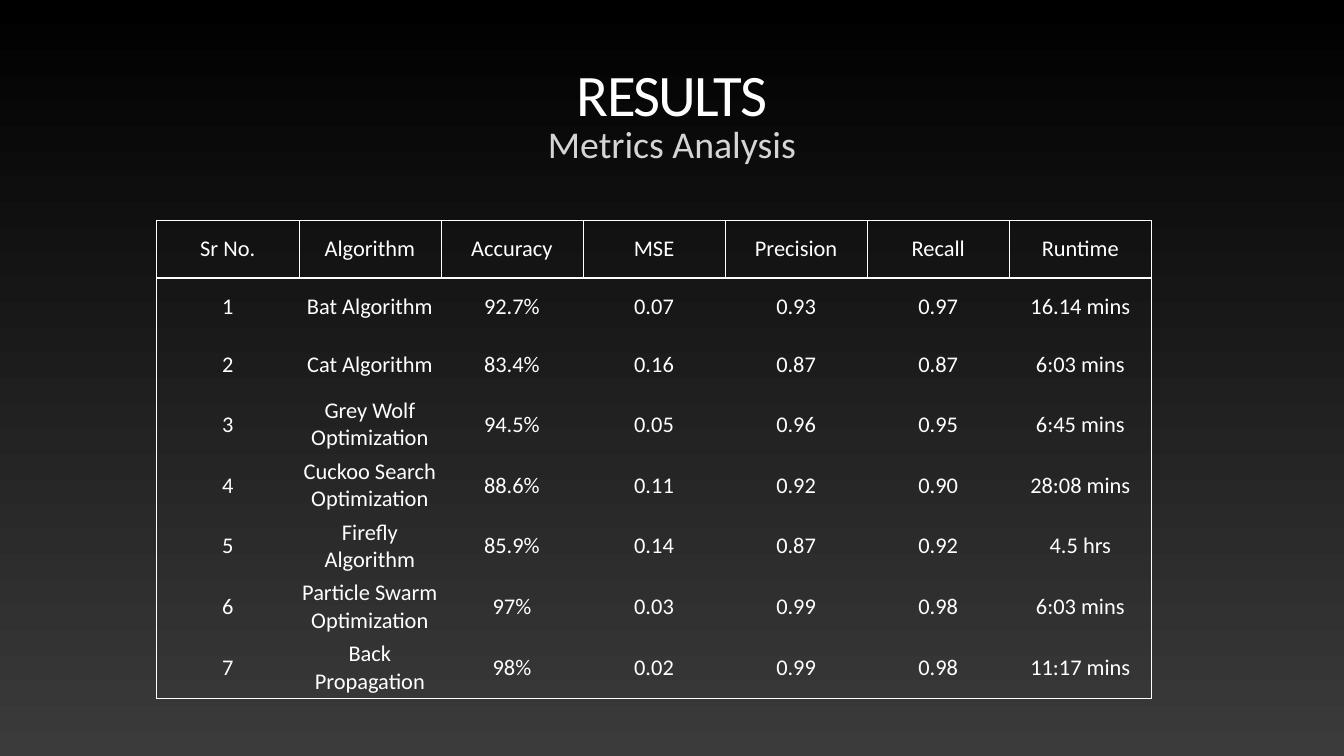
from dataclasses import dataclass
from typing import Any

import pptx
import pptx.dml.color
import pptx.dml.fill
import pptx.enum.text
import pptx.oxml
import pptx.oxml.ns
import pptx.presentation
import pptx.slide
import pptx.table
import pptx.text.text
import pptx.util

Inches = pptx.util.Inches
Pt = pptx.util.Pt
Anchor = pptx.enum.text.MSO_ANCHOR

WHITE = "FFFFFF"
PALE_GREY = "D5D5D5"
NO_GRID_STYLE = "{2D5ABB26-0587-4C30-8999-92F81FD0307C}"
INSET = Inches(0.06)
INSETS = {side: INSET for side in ("margin_left", "margin_top", "margin_right", "margin_bottom")}
COLUMN_WIDTH = 2.82
ROW_HEIGHT = 1.15
THIN, THICK = 1, 3


@dataclass(frozen=True)
class Heading:
    text: str
    top: float
    height: float
    size: int
    color: str
    anchor: Any
    line_spacing: float


@dataclass(frozen=True)
class Metrics:
    algorithm: str
    accuracy: str
    mse: str
    precision: str
    recall: str
    runtime: str


TITLE = Heading("RESULTS", 0.89, 1.7, 84, WHITE, Anchor.BOTTOM, 0.8)
SUBTITLE = Heading("Metrics Analysis", 2.33, 1.11, 54, PALE_GREY, Anchor.TOP, 1.0)

COLUMN_HEADS = ["Sr No.", "Algorithm", "Accuracy", "MSE", "Precision", "Recall", "Runtime"]
RESULTS = [
    Metrics("Bat Algorithm", "92.7%", "0.07", "0.93", "0.97", "16.14 mins"),
    Metrics("Cat Algorithm", "83.4%", "0.16", "0.87", "0.87", "6:03 mins"),
    Metrics("Grey Wolf Optimization", "94.5%", "0.05", "0.96", "0.95", "6:45 mins"),
    Metrics("Cuckoo Search Optimization", "88.6%", "0.11", "0.92", "0.90", "28:08 mins"),
    Metrics("Firefly Algorithm", "85.9%", "0.14", "0.87", "0.92", "4.5 hrs"),
    Metrics("Particle Swarm Optimization", "97%", "0.03", "0.99", "0.98", "6:03 mins"),
    Metrics("Back Propagation", "98%", "0.02", "0.99", "0.98", "11:17 mins"),
]


def rgb(code: str) -> pptx.dml.color.RGBColor:
    return pptx.dml.color.RGBColor.from_string(code)


def apply(target: Any, values: dict[str, Any]) -> None:
    for attribute, value in values.items():
        setattr(target, attribute, value)


def shade_downward(fill: pptx.dml.fill.FillFormat, top_color: str, bottom_color: str) -> None:
    fill.gradient()
    fill.gradient_angle = 270
    for stop, color in zip(fill.gradient_stops, (top_color, bottom_color)):
        stop.color.rgb = rgb(color)


def write_centred(
    paragraph: pptx.text.text._Paragraph, text: str, size: int, color: str, spacing: dict[str, Any]
) -> pptx.text.text._Run:
    apply(paragraph, {"alignment": pptx.enum.text.PP_ALIGN.CENTER, **spacing})
    run = paragraph.add_run()
    run.text = text
    apply(run.font, {"name": "Calibri", "size": Pt(size), "bold": False})
    run.font.fill.solid()
    run.font.fill.fore_color.rgb = rgb(color)
    return run


def fill_heading(placeholder: Any, heading: Heading) -> pptx.text.text._Run:
    apply(placeholder, {
        "left": Inches(1.39),
        "top": Inches(heading.top),
        "width": Inches(23.89),
        "height": Inches(heading.height),
    })
    frame = placeholder.text_frame
    apply(frame, {
        **INSETS,
        "vertical_anchor": heading.anchor,
        "word_wrap": True,
        "auto_size": pptx.enum.text.MSO_AUTO_SIZE.NONE,
    })
    spacing = {"space_before": Pt(0), "line_spacing": heading.line_spacing}
    return write_centred(frame.paragraphs[0], heading.text, heading.size, heading.color, spacing)


def draw_borders(cell: pptx.table._Cell, borders: dict[str, int]) -> None:
    properties = cell._tc.get_or_add_tcPr()
    for side in "LRTB":
        width = borders.get(side)
        paint = f'<a:solidFill><a:srgbClr val="{WHITE}"/></a:solidFill>' if width else "<a:noFill/>"
        properties.append(pptx.oxml.parse_xml(
            f'<a:ln{side} {pptx.oxml.ns.nsdecls("a")} w="{Pt(width or 0)}">{paint}</a:ln{side}>'
        ))


def borders_at(row: int, column: int, last_row: int, last_column: int) -> dict[str, int]:
    if row == 0:
        return {"L": THIN, "R": THIN, "T": THIN, "B": THICK}
    edges = {"L": column == 0, "R": column == last_column, "B": row == last_row}
    borders = {side: THIN for side, is_edge in edges.items() if is_edge}
    return {**borders, "T": THICK} if row == 1 else borders


def add_results_table(slide: pptx.slide.Slide) -> None:
    rows = [COLUMN_HEADS] + [
        [str(number), m.algorithm, m.accuracy, m.mse, m.precision, m.recall, m.runtime]
        for number, m in enumerate(RESULTS, 1)
    ]
    row_count, column_count = len(rows), len(COLUMN_HEADS)
    results = slide.shapes.add_table(
        row_count, column_count, Inches(3.11), Inches(4.37),
        Inches(COLUMN_WIDTH * column_count), Inches(ROW_HEIGHT * row_count),
    ).table
    results.horz_banding = False
    results._tbl.tblPr.find(pptx.oxml.ns.qn("a:tableStyleId")).text = NO_GRID_STYLE
    for column in results.columns:
        column.width = Inches(COLUMN_WIDTH)
    for row_index, values in enumerate(rows):
        results.rows[row_index].height = Inches(ROW_HEIGHT)
        for column_index, value in enumerate(values):
            cell = results.cell(row_index, column_index)
            apply(cell, {**INSETS, "vertical_anchor": Anchor.MIDDLE})
            draw_borders(cell, borders_at(row_index, column_index, row_count - 1, column_count - 1))
            cell.fill.background()
            write_centred(cell.text_frame.paragraphs[0], value, 32, WHITE, {"space_before": Pt(24)})


def main() -> None:
    deck = pptx.Presentation()
    apply(deck, {"slide_width": Inches(26.67), "slide_height": Inches(15)})
    slide = deck.slides.add_slide(deck.slide_layouts.get_by_name("Section Header"))
    shade_downward(slide.background.fill, "000000", "3B3B3B")

    title_run = fill_heading(slide.shapes.title, TITLE)
    shade_downward(title_run.font.fill, WHITE, "929292")
    title_run._r.get_or_add_rPr().set("spc", "-250")
    fill_heading(slide.placeholders[1], SUBTITLE)

    add_results_table(slide)
    deck.save("out.pptx")


if __name__ == "__main__":
    main()
